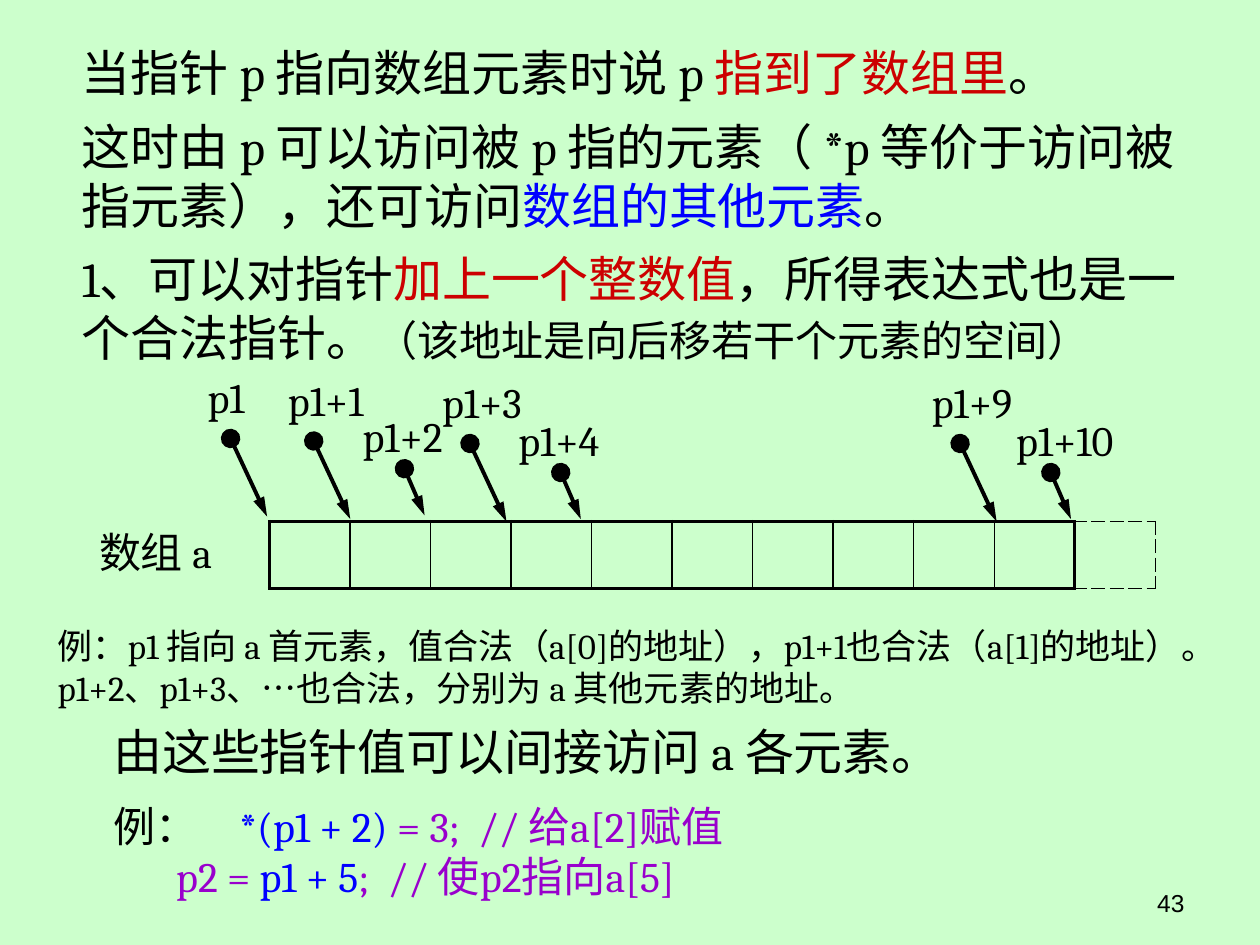
"""Build a slide on pointer arithmetic inside an array."""
import pptx
import pptx.dml.color
import pptx.enum.shapes
import pptx.enum.text
import pptx.oxml
import pptx.oxml.ns
import pptx.util

Inches, Pt = pptx.util.Inches, pptx.util.Pt
RGBColor = pptx.dml.color.RGBColor
Align = pptx.enum.text.PP_ALIGN
qn = pptx.oxml.ns.qn

BLACK = RGBColor(0x00, 0x00, 0x00)
RED = RGBColor(0xCC, 0x00, 0x00)
BLUE = RGBColor(0x00, 0x00, 0xFF)
PURPLE = RGBColor(0x99, 0x00, 0xCC)
MINT = RGBColor(0xCC, 0xFF, 0xCC)

INTRO = [
    [("当指针 p 指向数组元素时说 p ", BLACK), ("指到了数组里", RED), ("。", BLACK)],
    [("这时由 p 可以访问被 p 指的元素（ *p 等价于访问被指元素），还可访问", BLACK),
     ("数组的其他元素", BLUE), ("。", BLACK)],
    [("1、可以对指针", BLACK), ("加上一个整数值", RED),
     ("，所得表达式也是一个合法指针。", BLACK),
     ("（该地址是向后移若干个元素的空间）", BLACK, 24)],
]
EXAMPLE = [[("例：p1 指向 a 首元素，值合法（a[0]的地址），p1+1也合法（a[1]的地址）。"
             "p1+2、p1+3、…也合法，分别为 a 其他元素的地址。", BLACK)]]
ACCESS = [
    [("由这些指针值可以间接访问 a 各元素。", BLACK, 28)],
    [("例：\t", BLACK), ("*(p1 + 2)", BLUE), (" = 3;  // 给a[2]赋值", PURPLE)],
    [("\tp2 = ", PURPLE), ("p1 + 5", BLUE), (";  // 使p2指向a[5]", PURPLE)],
]

LONG = {"label_shift": (0.41, 0.58), "reach": (0.29, 0.62)}
SHORT = {"label_shift": (0.52, 0.51), "reach": (0.16, 0.37)}
POINTERS = [
    ("p1", 1.83, 3.48, 0.75, LONG),
    ("p1+1", 2.49, 3.50, 1.01, LONG),
    ("p1+2", 3.21, 3.72, 1.01, SHORT),
    ("p1+3", 3.73, 3.52, 1.01, LONG),
    ("p1+4", 4.45, 3.75, 1.01, SHORT),
    ("p1+9", 7.62, 3.52, 1.01, LONG),
    ("p1+10", 8.34, 3.75, 1.26, SHORT),
]
ELEMENTS = 10
ARRAY_BOX = (2.14, 4.14, 7.03, 0.53)
THIN, THICK = 1, 2.25


def write(frame, paragraphs, size, gaps=(0,), align=Align.LEFT, font="Cambria"):
    frame.word_wrap = True
    frame.auto_size = pptx.enum.text.MSO_AUTO_SIZE.NONE
    for index, (runs, gap) in enumerate(zip(paragraphs, gaps)):
        paragraph = frame.paragraphs[0] if index == 0 else frame.add_paragraph()
        paragraph.alignment = align
        paragraph.space_before = Pt(gap)
        paragraph.font.name = font
        for text, color, *own_size in runs:
            run = paragraph.add_run()
            run.text = text
            run.font.name = font
            run.font.size = Pt(own_size[0] if own_size else size)
            run.font.color.rgb = color


def add_text(slide, box, paragraphs, size, **options):
    shape = slide.shapes.add_textbox(*map(Inches, box))
    write(shape.text_frame, paragraphs, size, **options)
    return shape


def add_intro(slide):
    body = slide.placeholders[1]
    body.left, body.top, body.width, body.height = map(Inches, (0.55, 0.29, 8.9, 5.91))
    write(body.text_frame, INTRO, 28, gaps=(0, 8.4, 8.4))
    for paragraph in body.text_frame.paragraphs:
        properties = paragraph._p.get_or_add_pPr()
        properties.set("marL", "0")
        properties.set("indent", "0")
        bullet = pptx.oxml.parse_xml(f'<a:buNone {pptx.oxml.ns.nsdecls("a")}/>')
        properties.find(qn("a:spcBef")).addnext(bullet)


def set_borders(cell, widths, dashed):
    cell.fill.background()
    for position, (side, width) in enumerate(zip("LRTB", widths)):
        dash = "sysDash" if dashed and side != "L" else "solid"
        border = pptx.oxml.parse_xml(
            f'<a:ln{side} {pptx.oxml.ns.nsdecls("a")} w="{Pt(width)}">'
            f'<a:solidFill><a:srgbClr val="{BLACK}"/></a:solidFill>'
            f'<a:prstDash val="{dash}"/></a:ln{side}>')
        cell._tc.get_or_add_tcPr().insert(position, border)


def add_array(slide):
    table = slide.shapes.add_table(1, ELEMENTS + 1, *map(Inches, ARRAY_BOX)).table
    table.first_row = table.horz_banding = False
    for index in range(ELEMENTS + 1):
        beyond = index == ELEMENTS
        left = THICK if index in (0, ELEMENTS) else THIN
        right = THICK if index == ELEMENTS - 1 else THIN
        edge = THIN if beyond else THICK
        set_borders(table.cell(0, index), (left, right, edge, edge), beyond)


def add_pointer(slide, label, x, y, width, kind):
    reach_x, reach_y = kind["reach"]
    arrow = slide.shapes.add_connector(
        pptx.enum.shapes.MSO_CONNECTOR.STRAIGHT,
        *map(Inches, (x, y, x + reach_x, y + reach_y)))
    arrow.line.color.rgb = BLACK
    arrow.line.width = Pt(THICK)
    line = arrow.line._get_or_add_ln()
    for tag, style, end_width in (("headEnd", "oval", "lg"), ("tailEnd", "triangle", "med")):
        line.append(pptx.oxml.parse_xml(
            f'<a:{tag} {pptx.oxml.ns.nsdecls("a")} type="{style}" w="{end_width}" len="lg"/>'))
    line.addnext(pptx.oxml.parse_xml(f'<a:effectLst {pptx.oxml.ns.nsdecls("a")}/>'))
    shift_x, shift_y = kind["label_shift"]
    add_text(slide, (x - shift_x, y - shift_y, width, 0.5), [[(label, BLACK)]], 24,
             align=Align.CENTER)


def main():
    presentation = pptx.Presentation()
    presentation.slide_width, presentation.slide_height = Inches(10), Inches(7.5)
    slide = presentation.slides.add_slide(presentation.slide_layouts[1])
    slide.background.fill.solid()
    slide.background.fill.fore_color.rgb = MINT
    title = slide.shapes.title.element
    title.getparent().remove(title)

    add_intro(slide)
    add_array(slide)
    add_text(slide, (0.45, 4.13, 1.57, 0.5), [[("数组 a", BLACK)]], 24, align=Align.CENTER)
    for pointer in POINTERS:
        add_pointer(slide, *pointer)
    add_text(slide, (0.36, 4.91, 9.13, 0.77), EXAMPLE, 20)
    add_text(slide, (0.8, 5.68, 8.65, 1.54), ACCESS, 24, gaps=(0, 11.2, 0))
    number = add_text(slide, (7.17, 6.98, 2.33, 0.37), [[("43", BLACK)]], 14,
                      align=Align.RIGHT, font="Arial")
    number.text_frame.vertical_anchor = pptx.enum.text.MSO_ANCHOR.MIDDLE
    presentation.save("out.pptx")


if __name__ == "__main__":
    main()
